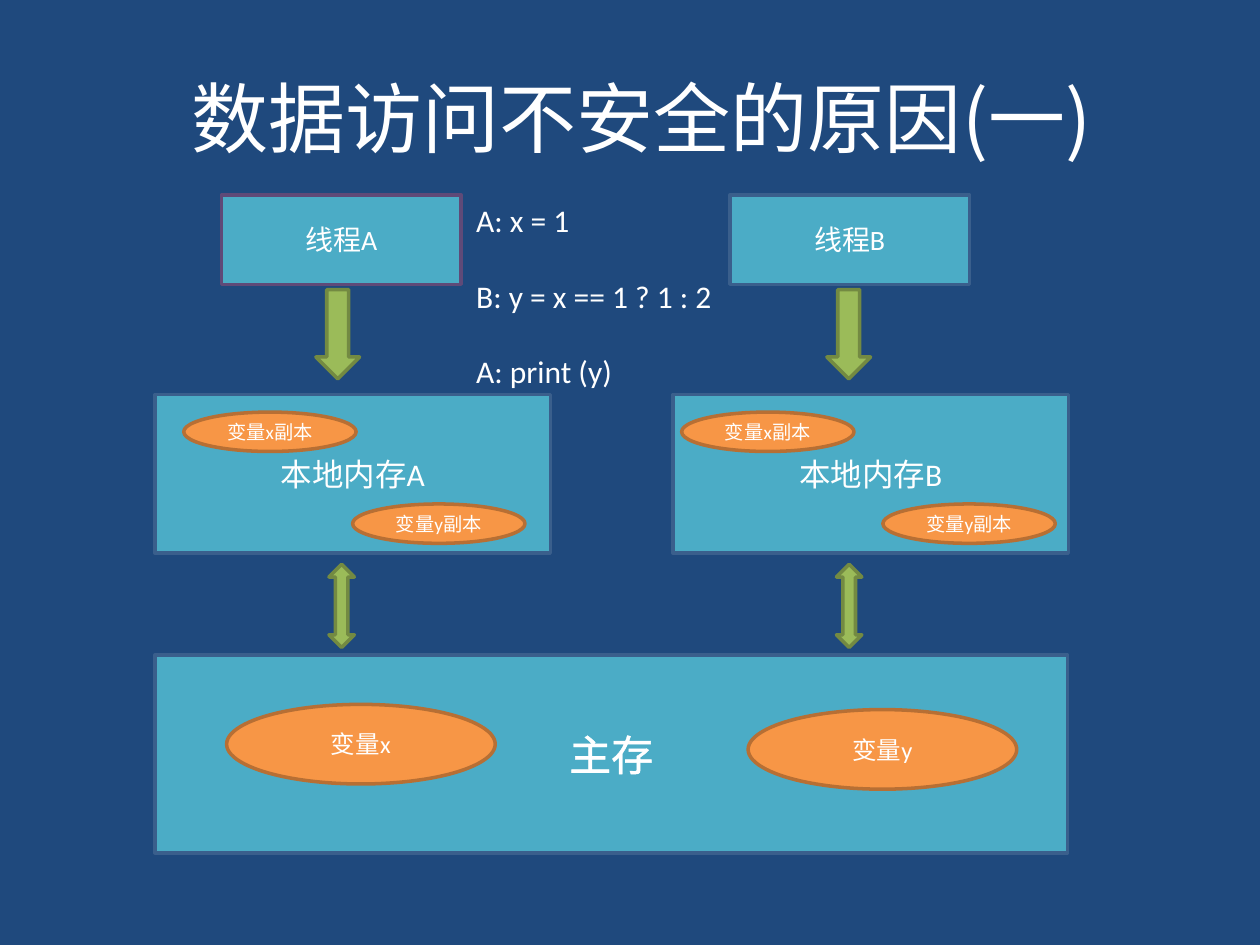
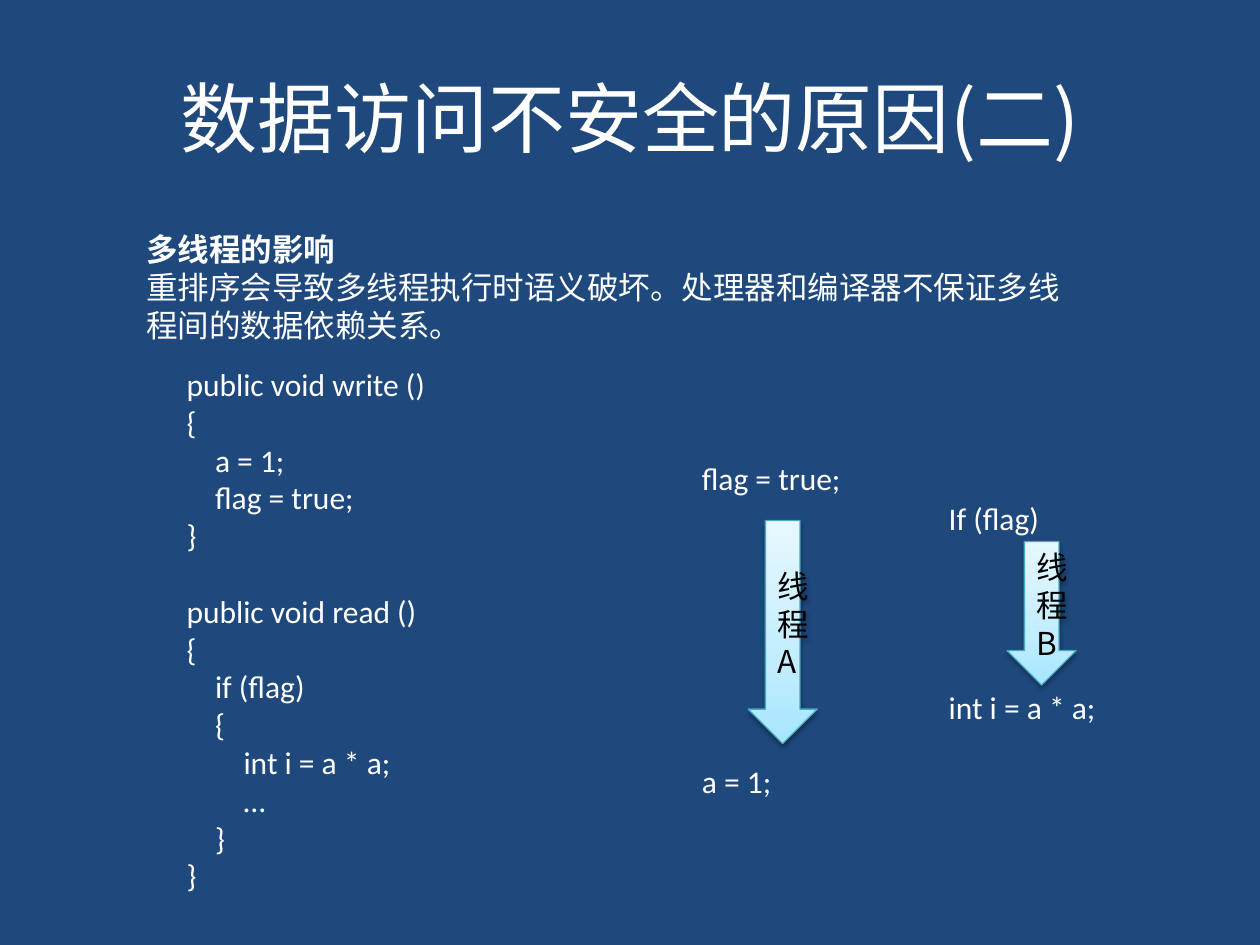
import pptx
import pptx.dml.color
import pptx.enum.shapes
import pptx.enum.text
import pptx.oxml
import pptx.oxml.ns
import pptx.util

Pt = pptx.util.Pt
SHAPE = pptx.enum.shapes.MSO_SHAPE
ALIGN = pptx.enum.text.PP_ALIGN
ANCHOR = pptx.enum.text.MSO_ANCHOR
NAMESPACE = pptx.oxml.ns.nsdecls("a")

# Shared style
BACKGROUND, WHITE, BLACK = "1F497D", "FFFFFF", "000000"
TEAL, ORANGE, GREEN = "4BACC6", "F79646", "9BBB59"
BLUE_EDGE, PURPLE_EDGE = "3A5F8C", "5F4A78"
ORANGE_EDGE, GREEN_EDGE, ICE_EDGE = "B76F34", "738A42", "46AAC5"
ICE_STOPS = [(0, "A7E6FF"), (35, "C1EDFF"), (100, "E7F8FF")]
LATIN, CHINESE = "Calibri", "Noto Sans CJK SC"
LINE_HEIGHT = 21.6
INDENT = 16.3


def color(value):
    return pptx.dml.color.RGBColor.from_string(value)


def element(markup):
    return pptx.oxml.parse_xml(markup)


class Deck:
    def __init__(self):
        self.presentation = pptx.Presentation()
        self.presentation.slide_width = Pt(720)
        self.presentation.slide_height = Pt(540)
        fill = self.presentation.slide_master.background.fill
        fill.solid()
        fill.fore_color.rgb = color(BACKGROUND)
        self.slide = None

    def format(self, paragraph, size, font=LATIN, ink=WHITE, bold=False):
        for run in paragraph.runs:
            run.font.size = Pt(size)
            run.font.name = font
            run.font.bold = bold
            run.font.color.rgb = color(ink)
            run.font._element.find(pptx.oxml.ns.qn("a:latin")).addnext(
                element(f'<a:ea {NAMESPACE} typeface="{CHINESE}"/>'))

    def add_slide(self, title, left=36):
        layout = self.presentation.slide_layouts[5]  # Title Only
        self.slide = self.presentation.slides.add_slide(layout)
        shape = self.slide.shapes.title
        shape.left, shape.top = Pt(left), Pt(21.6)
        shape.width, shape.height = Pt(648), Pt(90)
        shape.text_frame.text = title
        shape.text_frame.vertical_anchor = ANCHOR.MIDDLE
        paragraph = shape.text_frame.paragraphs[0]
        paragraph.alignment = ALIGN.CENTER
        self.format(paragraph, 44, CHINESE)

    def shape(self, kind, box, fill, edge, width=2):
        shape = self.slide.shapes.add_shape(kind, *map(Pt, box))
        shape.shadow.inherit = False
        shape.fill.solid()
        shape.fill.fore_color.rgb = color(fill)
        shape.line.color.rgb = color(edge)
        shape.line.width = Pt(width)
        return shape

    def label(self, shape, text, size, font=LATIN, ink=WHITE):
        frame = shape.text_frame
        frame.text = text
        frame.word_wrap = True
        frame.vertical_anchor = ANCHOR.MIDDLE
        paragraph = frame.paragraphs[0]
        paragraph.alignment = ALIGN.CENTER
        self.format(paragraph, size, font, ink)

    def block(self, box, text, size, edge=BLUE_EDGE):
        shape = self.shape(SHAPE.RECTANGLE, box, TEAL, edge)
        self.label(shape, text, size)
        return shape

    def variable(self, box, text, size):
        shape = self.shape(SHAPE.OVAL, box, ORANGE, ORANGE_EDGE)
        frame = shape.text_frame
        frame.margin_left = frame.margin_right = 0
        frame.margin_top = frame.margin_bottom = 0
        self.label(shape, text, size)

    def green_arrow(self, kind, box):
        self.shape(kind, box, GREEN, GREEN_EDGE)

    def outline_text(self, shape, ink, width):
        for run in shape.text_frame.paragraphs[0].runs:
            run.font._element.insert(0, element(
                f'<a:ln {NAMESPACE} w="{Pt(width)}"><a:solidFill>'
                f'<a:srgbClr val="{ink}"/></a:solidFill></a:ln>'))

    def thread_arrow(self, box, text):
        shape = self.shape(SHAPE.DOWN_ARROW, box, ICE_STOPS[0][1], ICE_EDGE, 0.75)
        properties = shape._element.spPr
        stops = "".join(f'<a:gs pos="{position * 1000}"><a:srgbClr val="{value}"/></a:gs>'
                        for position, value in ICE_STOPS)
        solid = properties.find(pptx.oxml.ns.qn("a:solidFill"))
        properties.replace(solid, element(
            f'<a:gradFill {NAMESPACE} rotWithShape="1"><a:gsLst>{stops}</a:gsLst>'
            '<a:lin ang="16200000" scaled="0"/></a:gradFill>'))
        effects = properties.find(pptx.oxml.ns.qn("a:effectLst"))
        effects.append(element(
            f'<a:outerShdw {NAMESPACE} blurRad="{Pt(3.1)}" dist="{Pt(1.6)}" dir="5400000"'
            ' rotWithShape="0"><a:srgbClr val="000000"><a:alpha val="38000"/>'
            '</a:srgbClr></a:outerShdw>'))
        self.label(shape, text, 18, CHINESE, BLACK)

    def text(self, box, lines):
        """Each line is (text, indent level, empty lines above, bold)."""
        frame = self.slide.shapes.add_textbox(*map(Pt, box)).text_frame
        frame.word_wrap = True
        frame.auto_size = pptx.enum.text.MSO_AUTO_SIZE.SHAPE_TO_FIT_TEXT
        for index, (text, level, gap, bold) in enumerate(lines):
            paragraph = frame.add_paragraph() if index else frame.paragraphs[0]
            paragraph.text = text
            paragraph.space_before = Pt(gap * LINE_HEIGHT)
            if level:
                paragraph._p.get_or_add_pPr().set("marL", str(Pt(level * INDENT)))
            self.format(paragraph, 18, bold=bold)


def line(text, level=0, gap=0, bold=False):
    return text, level, gap, bold


deck = Deck()

# Slide 1: threads, local memories and main memory
deck.add_slide("数据访问不安全的原因(一)", 42.5)
main_memory = deck.block((88.5, 374.4, 521.5, 113), "主存", 24)
deck.outline_text(main_memory, WHITE, 1.45)
deck.variable((129.5, 402.5, 153.5, 45.5), "变量x", 14)
deck.variable((427.5, 405.5, 153.5, 45.5), "变量y", 14)

# name, thread edge, then lefts of thread, memory, copies and arrows
columns = [
    ("A", PURPLE_EDGE, 126.5, 88.5, 105, 201.5, 180.5, 188),
    ("B", BLUE_EDGE, 417, 384.5, 389.5, 504.5, 472.5, 478),
]
for name, edge, thread, memory, copy_x, copy_y, down, both in columns:
    deck.block((thread, 111.5, 137, 51), "线程" + name, 16, edge)
    deck.block((memory, 225.5, 226, 90.5), "本地内存" + name, 18)
    deck.variable((copy_x, 235.5, 98.5, 22.5), "变量x副本", 11)
    deck.variable((copy_y, 288, 98.5, 22.5), "变量y副本", 11)
    deck.green_arrow(SHAPE.DOWN_ARROW, (down, 165.5, 25, 51))
    deck.green_arrow(SHAPE.UP_DOWN_ARROW, (both, 322.5, 14.5, 47.5))

deck.text((265, 111.5, 190, 116.5), [
    line("A: x = 1"),
    line("B: y = x == 1 ? 1 : 2", gap=1),
    line("A: print (y)", gap=1),
])

# Slide 2: reordering across threads
deck.add_slide("数据访问不安全的原因(二)")
deck.text((76.5, 128, 550, 72.5), [
    line("多线程的影响", bold=True),
    line("重排序会导致多线程执行时语义破坏。处理器和编译器不保证多线程间的数据依赖关系。"),
])
deck.text((99.5, 205, 181.5, 312.5), [
    line("public void write ()"),
    line("{"),
    line("a = 1;", 1),
    line("flag = true;", 1),
    line("}"),
    line("public void read ()", gap=1),
    line("{"),
    line("if (flag)", 1),
    line("{", 1),
    line("int i = a * a;", 2),
    line("…", 2),
    line("}", 1),
    line("}"),
])

# Execution order in each thread
deck.text((394, 259, 113, 204), [line("flag = true;"), line("a = 1;", gap=7)])
deck.text((535, 281.5, 120, 138), [line("If (flag)"), line("int i = a * a;", gap=4)])
deck.thread_arrow((427.5, 297.5, 39.5, 127.5), "线程A")
deck.thread_arrow((575.5, 309.5, 39.5, 82), "线程B")

deck.presentation.save("out.pptx")
